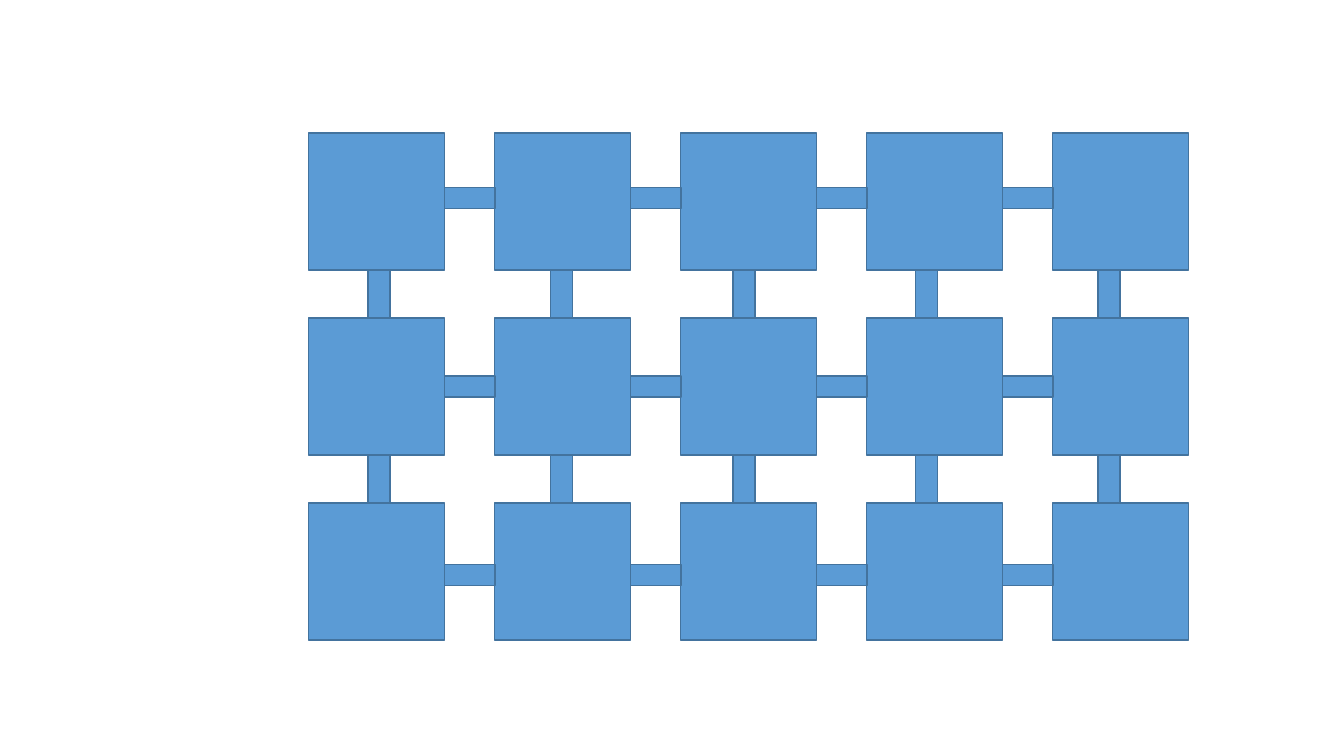
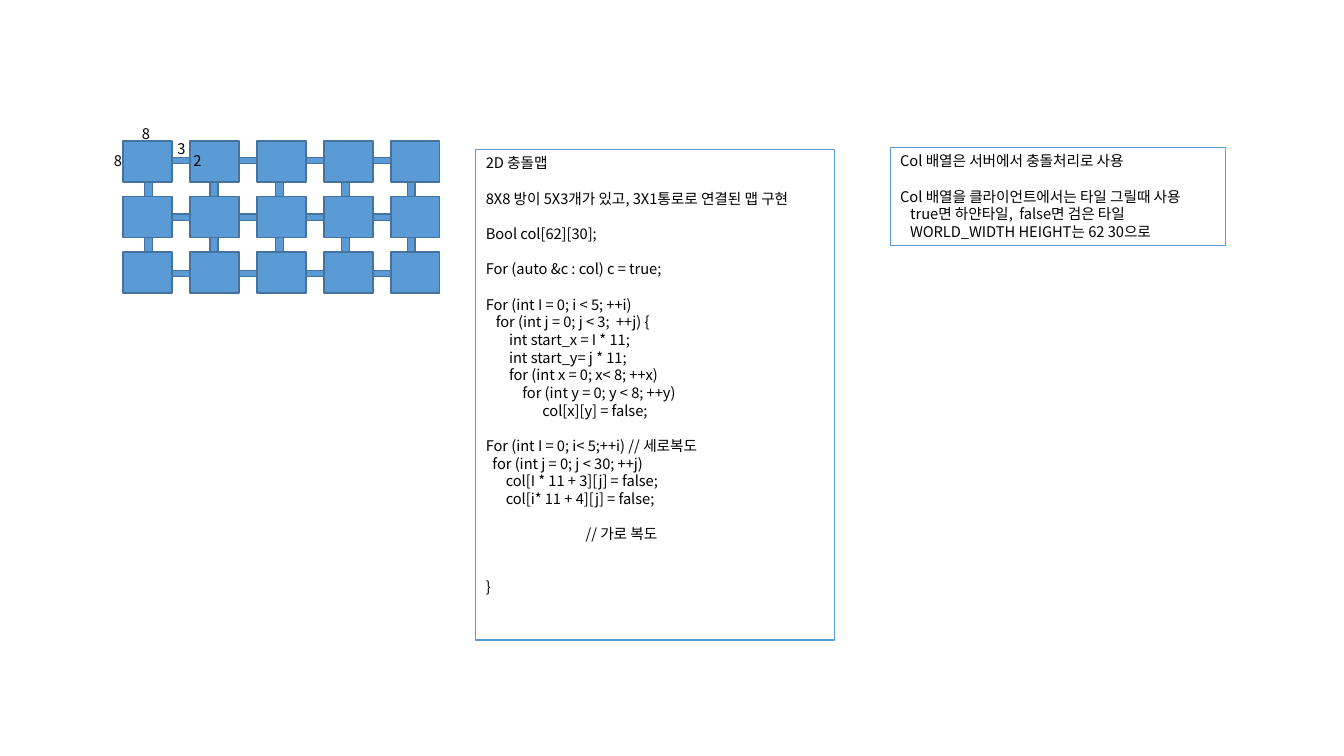
from pptx import Presentation
from pptx.dml.color import RGBColor
from pptx.enum.shapes import MSO_SHAPE
from pptx.enum.text import MSO_ANCHOR, PP_ALIGN
from pptx.oxml.ns import qn
from pptx.util import Inches, Pt

RECT = MSO_SHAPE.RECTANGLE
TOP = MSO_ANCHOR.TOP
LEFT = PP_ALIGN.LEFT
BLUE = RGBColor(0x5B, 0x9B, 0xD5)
DARK_BLUE = RGBColor(0x43, 0x73, 0x9E)
BLACK = RGBColor(0, 0, 0)
FONT = "Noto Sans CJK KR"
SIZE = Pt(10.5)
LINE_HEIGHT = 12.6
INDENT_STEP = 0.033
COLUMNS, ROWS = 5, 3


class Deck:
    """Holds the shared style and the current slide."""

    def __init__(self):
        self.prs = Presentation()
        self.prs.slide_width = Inches(13.33)
        self.prs.slide_height = Inches(7.5)
        self.s = None

    def add_slide(self):
        self.s = self.prs.slides.add_slide(self.prs.slide_layouts[6])

    def rect(self, shapes, x, y, w, h, fill, line, width):
        sp = shapes.add_shape(RECT, Inches(x), Inches(y), Inches(w), Inches(h))
        sp.shadow.inherit = False
        if fill is None:
            sp.fill.background()
        else:
            sp.fill.solid()
            sp.fill.fore_color.rgb = fill
        sp.line.color.rgb = line
        sp.line.width = Pt(width)
        return sp

    def room_map(self, left, top, scale_x=1, scale_y=1, grouped=False):
        shapes = self.s.shapes
        if grouped:
            shapes = shapes.add_group_shape().shapes

        def grid(columns, rows, x, y, pitch_x, pitch_y, w, h):
            for row in range(rows):
                for col in range(columns):
                    self.rect(shapes, left + (x + col * pitch_x) * scale_x,
                              top + (y + row * pitch_y) * scale_y,
                              w * scale_x, h * scale_y, BLUE, DARK_BLUE, 1)

        pitch_x, pitch_y = 7.38 / (COLUMNS - 1), 3.67 / (ROWS - 1)
        grid(COLUMNS, ROWS, 0, 0, pitch_x, pitch_y, 1.35, 1.36)
        grid(COLUMNS - 1, ROWS, 1.35, 0.54, pitch_x, 1.87, 0.5, 0.21)
        grid(COLUMNS, ROWS - 1, 0.59, 1.36, 1.81, pitch_y, 0.22, 0.47)

    def set_lines(self, sp, lines):
        tf = sp.text_frame
        tf.word_wrap = True
        tf.vertical_anchor = TOP
        for i, (gap, indent, text) in enumerate(lines):
            p = tf.add_paragraph() if i else tf.paragraphs[0]
            p.text = text
            p.alignment = LEFT
            p.line_spacing = Pt(LINE_HEIGHT)
            p.space_before = Pt(gap * LINE_HEIGHT)
            if indent:
                p._p.get_or_add_pPr().set("marL", str(Inches(indent * INDENT_STEP)))
            for r in p.runs:
                r.font.size = SIZE
                r.font.name = FONT
                r.font.color.rgb = BLACK
                rPr = r._r.get_or_add_rPr()
                ea = rPr.makeelement(qn("a:ea"), {"typeface": FONT})
                rPr.find(qn("a:latin")).addnext(ea)

    def panel(self, x, y, w, h, lines):
        self.set_lines(self.rect(self.s.shapes, x, y, w, h, None, BLUE, 0.75), lines)

    def label(self, x, y, text):
        sp = self.s.shapes.add_textbox(Inches(x), Inches(y), Inches(0.29), Inches(0.29))
        self.set_lines(sp, [(0, 0, text)])


CODE_LINES = [
    (0, 0, "2D 충돌맵"),
    (1, 0, "8X8 방이 5X3개가 있고, 3X1통로로 연결된 맵 구현"),
    (1, 0, "Bool col[62][30];"),
    (1, 0, "For (auto &c : col) c = true;"),
    (1, 0, "For (int I = 0; i < 5; ++i)"),
    (0, 3, "for (int j = 0; j < 3;  ++j) {"),
    (0, 7, "int start_x = I * 11;"),
    (0, 7, "int start_y= j * 11;"),
    (0, 7, "for (int x = 0; x< 8; ++x)"),
    (0, 11, "for (int y = 0; y < 8; ++y)"),
    (0, 17, "col[x][y] = false;"),
    (1, 0, "For (int I = 0; i< 5;++i) // 세로복도"),
    (0, 2, "for (int j = 0; j < 30; ++j)"),
    (0, 6, "col[I * 11 + 3][j] = false;"),
    (0, 6, "col[i* 11 + 4][j] = false;"),
    (1, 30, "// 가로 복도"),
    (2, 0, "}"),
]
USAGE_LINES = [
    (0, 0, "Col 배열은 서버에서 충돌처리로 사용"),
    (1, 0, "Col 배열을 클라이언트에서는 타일 그릴때 사용"),
    (0, 3, "true면 하얀타일,  false면 검은 타일"),
    (0, 3, "WORLD_WIDTH HEIGHT는 62 30으로"),
]
SIZE_LABELS = [(1.31, 1.19, "8"), (1.03, 1.46, "8"), (1.66, 1.34, "3"), (1.82, 1.46, "2")]

deck = Deck()
deck.add_slide()
deck.room_map(3.06, 1.32)

deck.add_slide()
deck.room_map(1.22, 1.4, 0.36, 0.3, grouped=True)
deck.panel(4.72, 1.48, 3.56, 4.87, CODE_LINES)
for x, y, text in SIZE_LABELS:
    deck.label(x, y, text)
deck.panel(8.83, 1.46, 3.33, 0.98, USAGE_LINES)

deck.prs.save("out.pptx")
